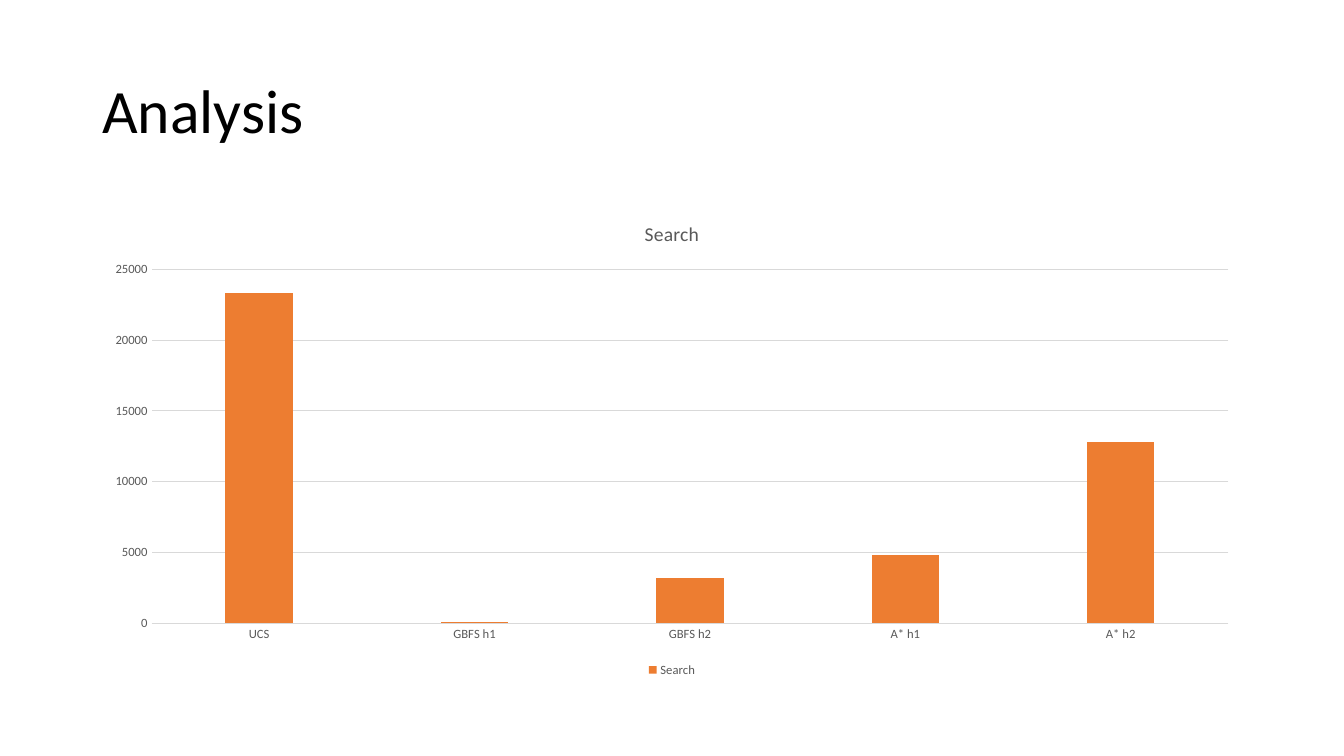
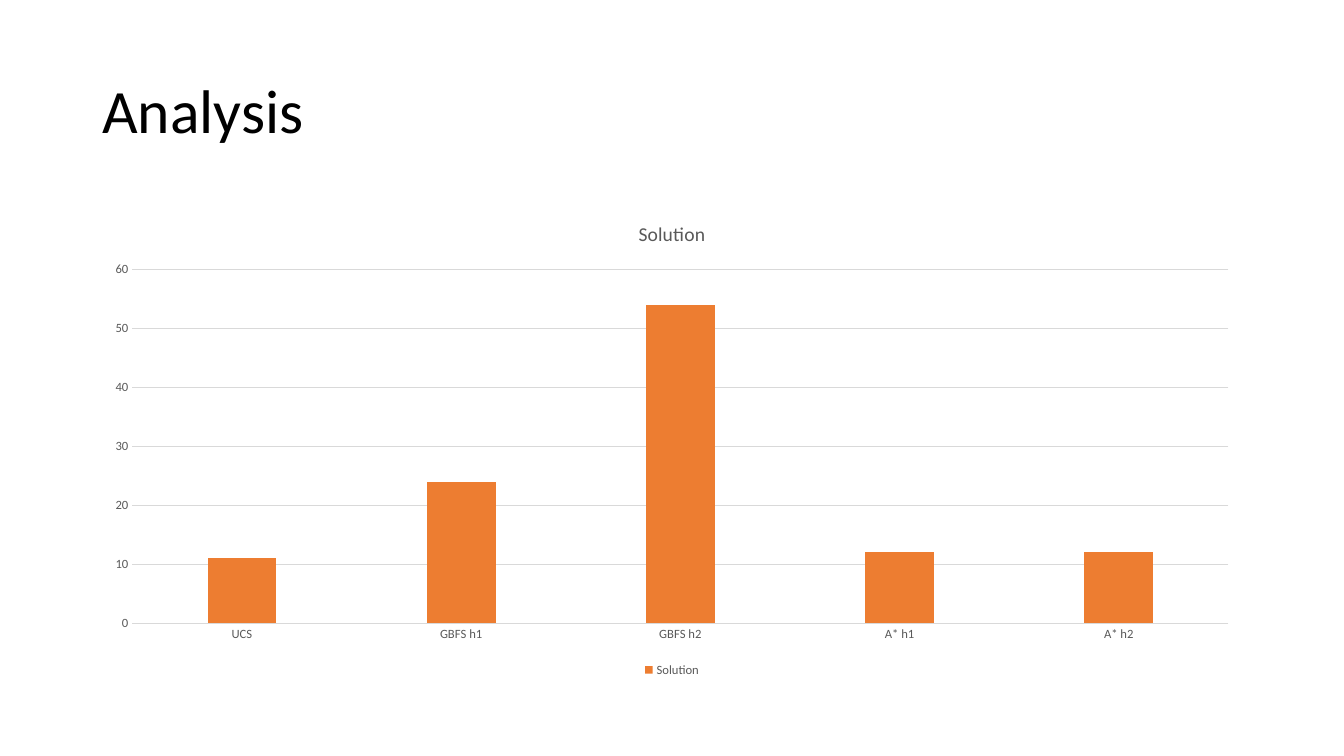
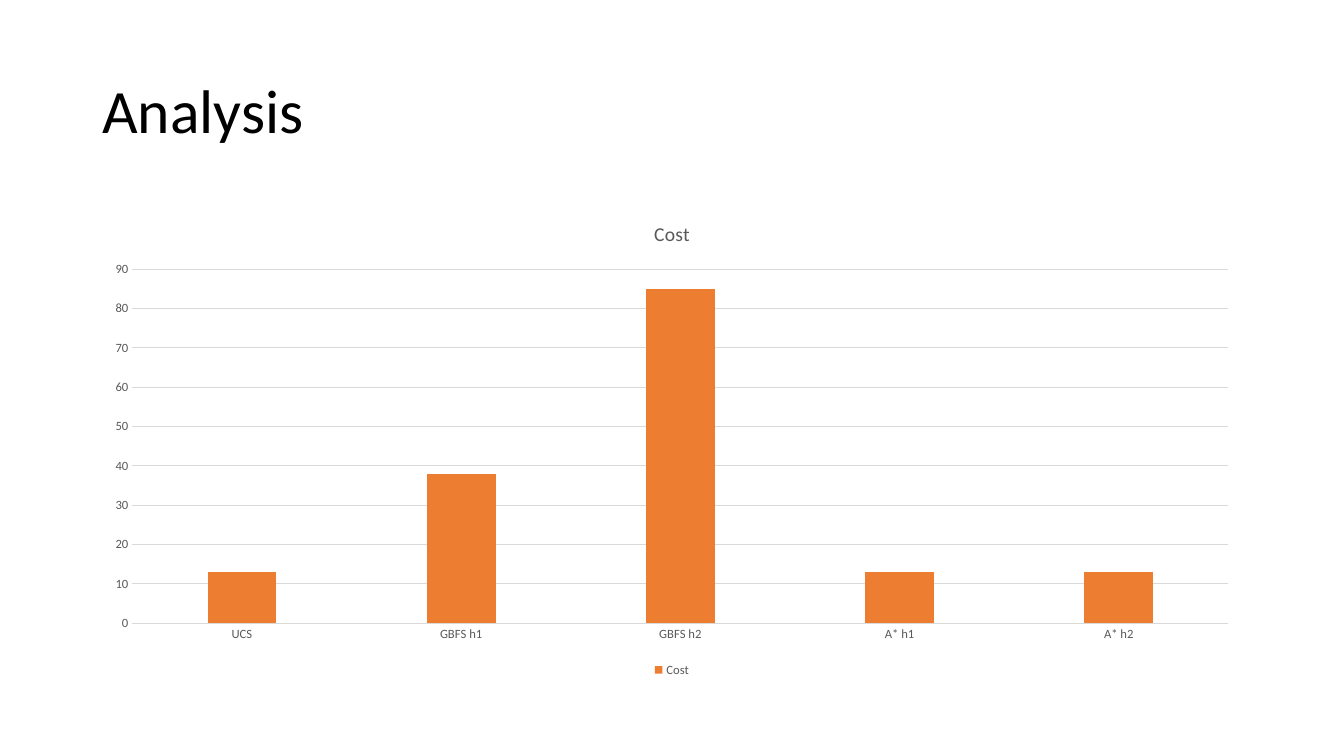
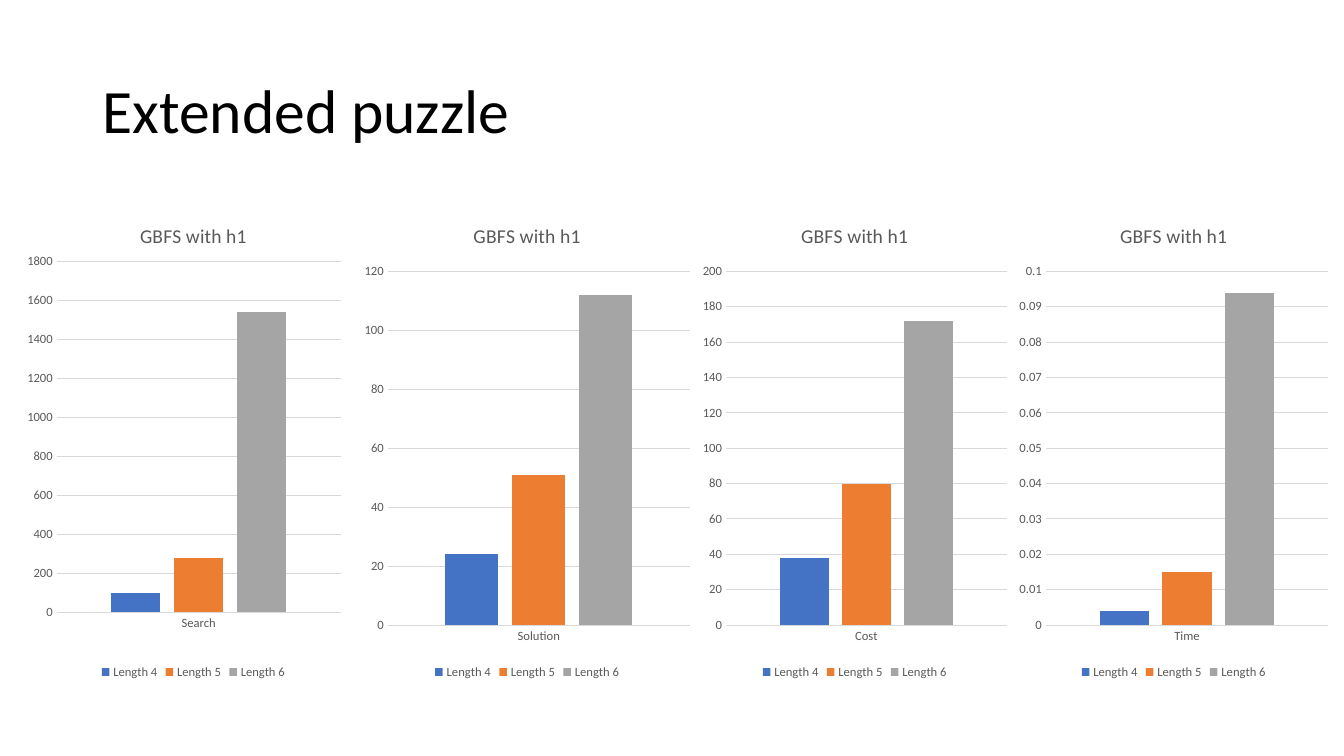
import pptx
import pptx.chart.data
import pptx.dml.color
import pptx.enum.chart
import pptx.enum.text
import pptx.oxml
import pptx.oxml.ns
import pptx.util

Pt = pptx.util.Pt
RGBColor = pptx.dml.color.RGBColor

FONT = "Calibri"
BLACK = RGBColor(0x00, 0x00, 0x00)
GREY_TEXT = RGBColor(0x59, 0x59, 0x59)
GRID = RGBColor(0xD9, 0xD9, 0xD9)
BLUE = RGBColor(0x44, 0x72, 0xC4)
ORANGE = RGBColor(0xED, 0x7D, 0x31)
GREY = RGBColor(0xA5, 0xA5, 0xA5)

SLIDE_SIZE = (960, 540)
TITLE_BOX = (66, 28.75, 828, 104.4)
CHART_BOX = (66, 144, 828, 342.72)
ROW_LEFT, ROW_TOP, ROW_HEIGHT = 19.44, 145.44, 342.72

# Analysis slides: measure, value per algorithm, axis maximum, axis step
ALGORITHMS = ["UCS", "GBFS h1", "GBFS h2", "A* h1", "A* h2"]
ANALYSES = [
    ("Search", [23300, 100, 3200, 4800, 12800], 25000, 5000),
    ("Solution", [11, 24, 54, 12, 12], 60, 10),
    ("Cost", [13, 38, 85, 13, 13], 90, 10),
]

# Extended puzzle: measure, value per length, axis maximum, step, width, plot area
LENGTHS = [("Length 4", BLUE), ("Length 5", ORANGE), ("Length 6", GREY)]
PUZZLE_TITLE = "GBFS with h1"
PUZZLES = [
    ("Search", [100, 280, 1540], 1800, 200, 236.16, (0.084, 0.12, 0.864, 0.732)),
    ("Solution", [24, 51, 112], 120, 20, 241.92, None),
    ("Cost", [38, 80, 172], 200, 20, 226.08, None),
    ("Time", [0.004, 0.015, 0.094], 0.1, 0.01, 229.68, None),
]


def set_font(font, size, color):
    """Apply the deck's typeface with a size and colour."""
    font.name = FONT
    font.size = Pt(size)
    font.bold = False
    font.color.rgb = color


def add_text(slide, text, box, size=44, color=BLACK, spacing=0.9,
             anchor=pptx.enum.text.MSO_ANCHOR.MIDDLE):
    """Add a wrapped text box with one paragraph."""
    tf = slide.shapes.add_textbox(*map(Pt, box)).text_frame
    tf.word_wrap = True
    tf.vertical_anchor = anchor
    p = tf.paragraphs[0]
    p.line_spacing = spacing
    r = p.add_run()
    r.text = text
    set_font(r.font, size, color)


def add_titled_slide(prs, title):
    """Add a blank slide with the shared title style."""
    slide = prs.slides.add_slide(prs.slide_layouts[6])
    add_text(slide, title, TITLE_BOX)
    return slide


def set_plot_area(chart, fractions):
    """Fix the inner plot area as x, y, w, h fractions of the chart."""
    names = ("x", "y", "w", "h")
    modes = "".join(f'<c:{n}Mode val="edge"/>' for n in names[:2])
    sizes = "".join(f'<c:{n} val="{v}"/>' for n, v in zip(names, fractions))
    area = chart._chartSpace.chart.plotArea
    for old in area.findall(pptx.oxml.ns.qn("c:layout")):
        area.remove(old)
    area.insert(0, pptx.oxml.parse_xml(
        f'<c:layout {pptx.oxml.ns.nsdecls("c")}><c:manualLayout>'
        f'<c:layoutTarget val="inner"/>{modes}{sizes}</c:manualLayout></c:layout>'))


def add_columns(slide, box, title, categories, series, top, step, plot_area=None):
    """Add a column chart; series holds (name, values, colour) tuples."""
    data = pptx.chart.data.CategoryChartData()
    data.categories = categories
    for name, values, _ in series:
        data.add_series(name, values)
    kind = pptx.enum.chart.XL_CHART_TYPE.COLUMN_CLUSTERED
    chart = slide.shapes.add_chart(kind, *map(Pt, box), data).chart
    set_font(chart.font, 10, BLACK)

    chart.has_title = True
    p = chart.chart_title.text_frame.paragraphs[0]
    r = p.add_run()
    r.text = title
    set_font(r.font, 14, GREY_TEXT)
    chart.chart_title.include_in_layout = False

    chart.has_legend = True
    chart.legend.position = pptx.enum.chart.XL_LEGEND_POSITION.BOTTOM
    chart.legend.include_in_layout = False
    set_font(chart.legend.font, 9, GREY_TEXT)

    plot = chart.plots[0]
    plot.gap_width, plot.overlap, plot.vary_by_categories = 219, -27, False
    for column, (_, _, color) in zip(plot.series, series):
        column.format.fill.solid()
        column.format.fill.fore_color.rgb = color

    cat_axis, val_axis = chart.category_axis, chart.value_axis
    for axis in (cat_axis, val_axis):
        axis.major_tick_mark = pptx.enum.chart.XL_TICK_MARK.NONE
        axis.minor_tick_mark = pptx.enum.chart.XL_TICK_MARK.NONE
        set_font(axis.tick_labels.font, 9, GREY_TEXT)
    val_axis.minimum_scale, val_axis.maximum_scale = 0, top
    val_axis.major_unit = step
    val_axis.has_major_gridlines = True
    val_axis.format.line.fill.background()
    for line in (cat_axis.format.line, val_axis.major_gridlines.format.line):
        line.color.rgb = GRID
        line.width = Pt(0.75)

    if plot_area:
        set_plot_area(chart, plot_area)


def main():
    """Build and save the deck."""
    prs = pptx.Presentation()
    prs.slide_width, prs.slide_height = map(Pt, SLIDE_SIZE)

    for measure, values, top, step in ANALYSES:
        slide = add_titled_slide(prs, "Analysis")
        add_columns(slide, CHART_BOX, measure, ALGORITHMS,
                    [(measure, values, ORANGE)], top, step)

    slide = add_titled_slide(prs, "Extended puzzle")
    left = ROW_LEFT
    for measure, values, top, step, width, plot_area in PUZZLES:
        series = [(name, [v], color) for (name, color), v in zip(LENGTHS, values)]
        add_columns(slide, (left, ROW_TOP, width, ROW_HEIGHT), PUZZLE_TITLE,
                    [measure], series, top, step, plot_area)
        left += width

    prs.save("out.pptx")


main()
